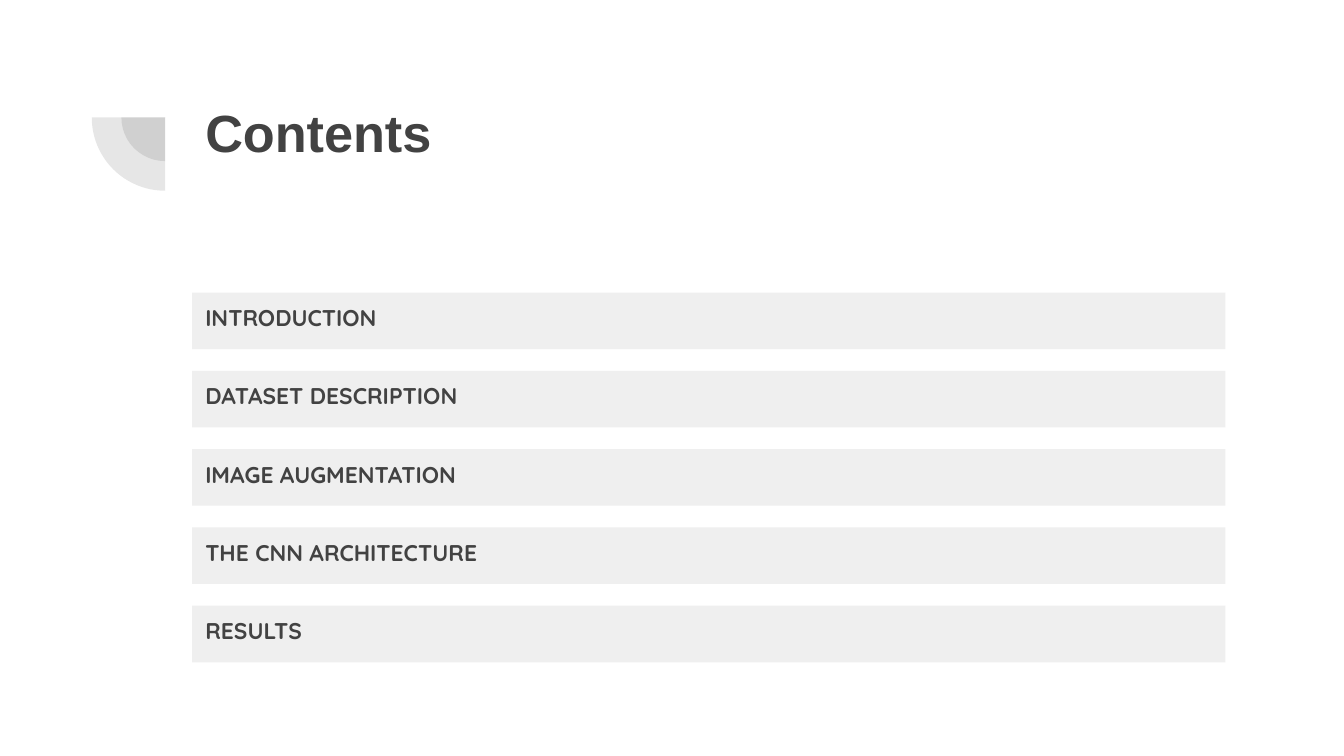
from lxml.etree import SubElement as Sub
from pptx import Presentation as Deck
from pptx.dml.color import RGBColor as Rgb
from pptx.enum.shapes import MSO_SHAPE as Kind
from pptx.enum.text import MSO_ANCHOR as Anchor, PP_ALIGN as Align
from pptx.oxml.ns import qn
from pptx.util import Cm, Pt


def tint(code):
    return Rgb.from_string(code)


class Page:
    ink = "424242"
    band = "EFEFEF"
    head = "Arial"
    body = "Quicksand"
    pad = Cm(0.25)

    def __init__(self, slide):
        self.slide = slide

    def shape(self, kind, left, top, width, height, fill):
        item = self.slide.shapes.add_shape(
            kind, Cm(left), Cm(top), Cm(width), Cm(height))
        item.shadow.inherit = False
        item.fill.solid()
        item.fill.fore_color.rgb = tint(fill)
        item.line.fill.background()
        return item

    def wedge(self, x, y, size):
        pie = self.shape(Kind.PIE, x - size / 2, y - size / 2, size, size, self.ink)
        pie.adjustments[0] = 108
        pie.adjustments[1] = 162
        pie.rotation = 270
        color = next(pie.element.spPr.iter(qn("a:srgbClr")))
        Sub(color, qn("a:alpha"), val="13000")

    def label(self, item, text, font, size, lead=None):
        frame = item.text_frame
        frame.word_wrap = True
        frame.vertical_anchor = Anchor.TOP
        frame.margin_left = frame.margin_right = self.pad
        frame.margin_top = frame.margin_bottom = self.pad
        para = frame.paragraphs[0]
        para.alignment = Align.LEFT
        para.line_spacing = lead
        run = para.add_run()
        run.text = text
        run.font.name = font
        run.font.size = Pt(size)
        run.font.bold = True
        run.font.color.rgb = tint(self.ink)

    def title(self, text, left, top, width, height):
        box = self.slide.shapes.add_textbox(
            Cm(left), Cm(top), Cm(width), Cm(height))
        self.label(box, text, self.head, 28)

    def bar(self, text, left, top, width, height):
        rect = self.shape(Kind.RECTANGLE, left, top, width, height, self.band)
        self.label(rect, text, self.body, 12.2, 0.95)


def main():
    deck = Deck()
    deck.slide_width = Cm(25.4)
    deck.slide_height = Cm(14.29)
    page = Page(deck.slides.add_slide(deck.slide_layouts[6]))

    for size in (1.65, 2.77):
        page.wedge(3.12, 2.22, size)

    left, width = 3.63, 19.53
    page.title("Contents", left, 1.65, width, 2.77)

    topics = ("INTRODUCTION", "DATASET DESCRIPTION", "IMAGE AUGMENTATION",
              "THE CNN ARCHITECTURE", "RESULTS")
    for row, topic in enumerate(topics):
        page.bar(topic, left, 5.53 + row * 1.48, width, 1.07)

    deck.save("out.pptx")


if __name__ == "__main__":
    main()
